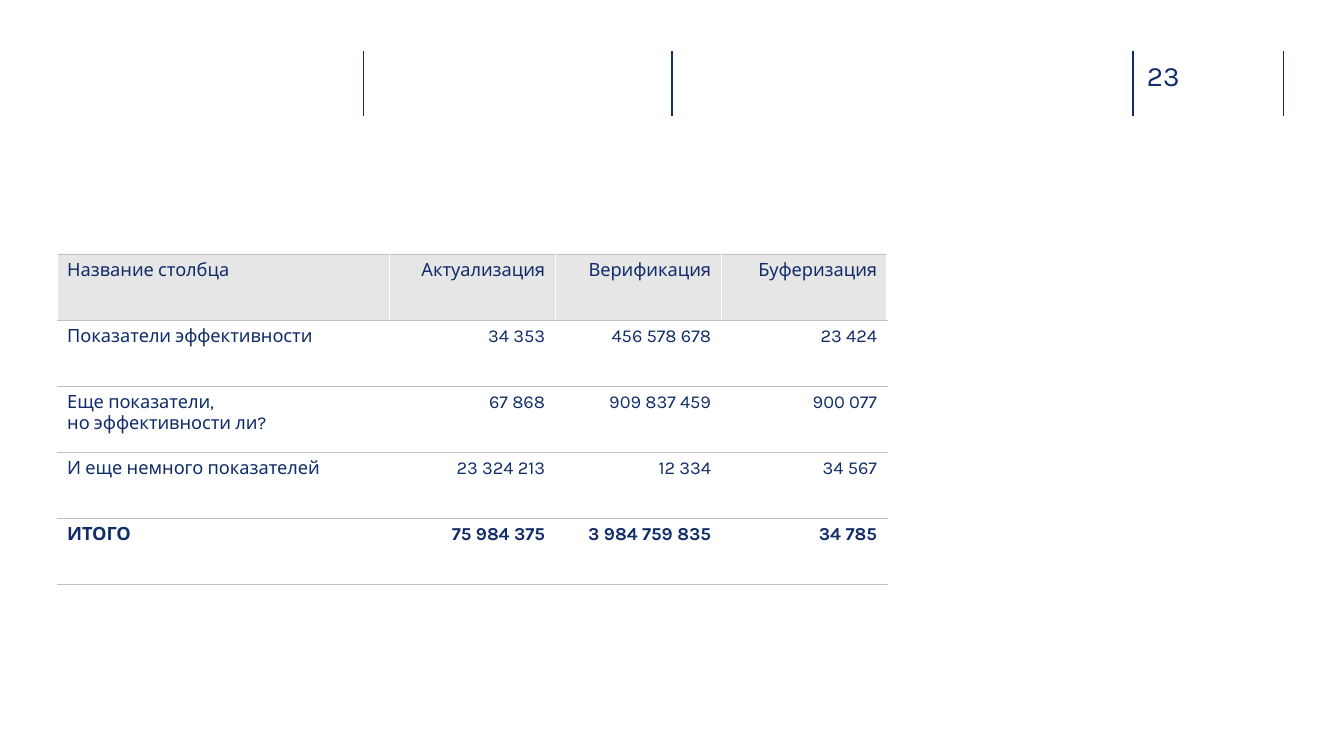
from lxml import etree
from pptx import Presentation
from pptx.dml.color import RGBColor
from pptx.enum import shapes, text
from pptx.oxml import ns
from pptx.util import Pt

NAVY = RGBColor(0x10, 0x2D, 0x69)
PALE = RGBColor(0xE7, 0xE6, 0xE6)
GRAY = RGBColor(0xBF, 0xBF, 0xBF)
WHITE = RGBColor(0xFF, 0xFF, 0xFF)
FONT = "Karla"

ROWS = [
    ("Название столбца", "Актуализация", "Верификация", "Буферизация"),
    ("Показатели эффективности", "34 353", "456 578 678", "23 424"),
    ("Еще показатели, \vно эффективности ли?", "67 868", "909 837 459", "900 077"),
    ("И еще немного показателей", "23 324 213", "12 334", "34 567"),
    ("ИТОГО", "75 984 375", "3 984 759 835", "34 785"),
]


def style(frame, size, align=text.PP_ALIGN.LEFT, bold=False):
    for para in frame.paragraphs:
        para.alignment = align
        for run in para.runs:
            run.font.name = FONT
            run.font.size = Pt(size)
            run.font.bold = bold
            run.font.color.rgb = NAVY


def edge(cell, side, color, width):
    line = etree.SubElement(cell._tc.get_or_add_tcPr(), ns.qn("a:ln" + side),
                            w=str(Pt(width)))
    fill = etree.SubElement(line, ns.qn("a:solidFill"))
    etree.SubElement(fill, ns.qn("a:srgbClr"), val=str(color))


# Header: vertical rules at the given offsets, page number after the third
def header(slide, left, top, width, height):
    for part in (0, 220.3, 549.4, width):
        x = Pt(left + part)
        rule = slide.shapes.add_connector(
            shapes.MSO_CONNECTOR.STRAIGHT, x, Pt(top), x, Pt(top + height))
        rule.line.color.rgb = NAVY
        rule.line.width = Pt(1)
        etree.SubElement(rule._element.spPr, ns.qn("a:effectLst"))

    box = slide.shapes.add_textbox(Pt(left + 559.5), Pt(top + 5), Pt(52.5), Pt(24.5))
    frame = box.text_frame
    frame.margin_left = frame.margin_right = 0
    frame.margin_top = frame.margin_bottom = 0
    frame.word_wrap = True
    frame.text = "23"
    style(frame, 20)


# Table: the first column is twice as wide as each of the others
def figures(slide, left, top, width, height):
    count = len(ROWS[0])
    table = slide.shapes.add_table(len(ROWS), count, Pt(left), Pt(top),
                                   Pt(width), Pt(height)).table
    table.first_row = table.horz_banding = False
    unit = width / (count + 1)
    for col, column in enumerate(table.columns):
        column.width = Pt(unit * (1 if col else 2))

    for r, row in enumerate(ROWS):
        table.rows[r].height = Pt(height / len(ROWS))
        for c, value in enumerate(row):
            cell = table.cell(r, c)
            cell.text_frame.text = value
            align = text.PP_ALIGN.RIGHT if c else text.PP_ALIGN.LEFT
            style(cell.text_frame, 13, align, r == len(ROWS) - 1)

            # Borders come before the fill
            if c > 0:
                edge(cell, "L", WHITE, 0.25)
            if c < count - 1:
                edge(cell, "R", WHITE, 0.25)
            edge(cell, "T", GRAY, 0.75)
            edge(cell, "B", GRAY, 0.75)
            if r == 0:
                cell.fill.solid()
                cell.fill.fore_color.rgb = PALE
            else:
                cell.fill.background()


def main():
    deck = Presentation()
    deck.slide_width, deck.slide_height = Pt(960), Pt(540)
    slide = deck.slides.add_slide(deck.slide_layouts[6])
    header(slide, 259.8, 36.5, 657, 46.3)
    figures(slide, 40.8, 181.8, 592.8, 235.7)
    deck.save("out.pptx")


if __name__ == "__main__":
    main()
